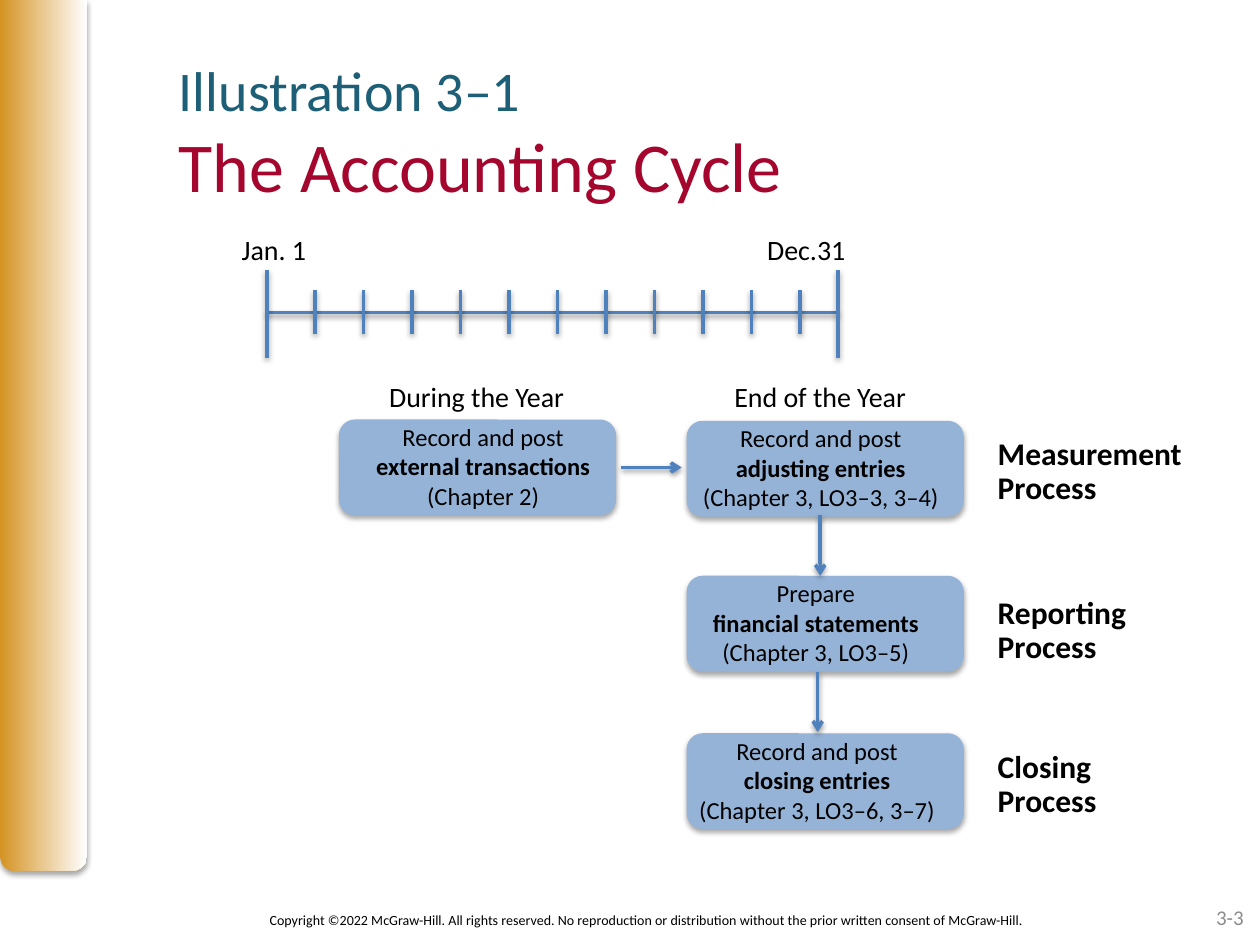
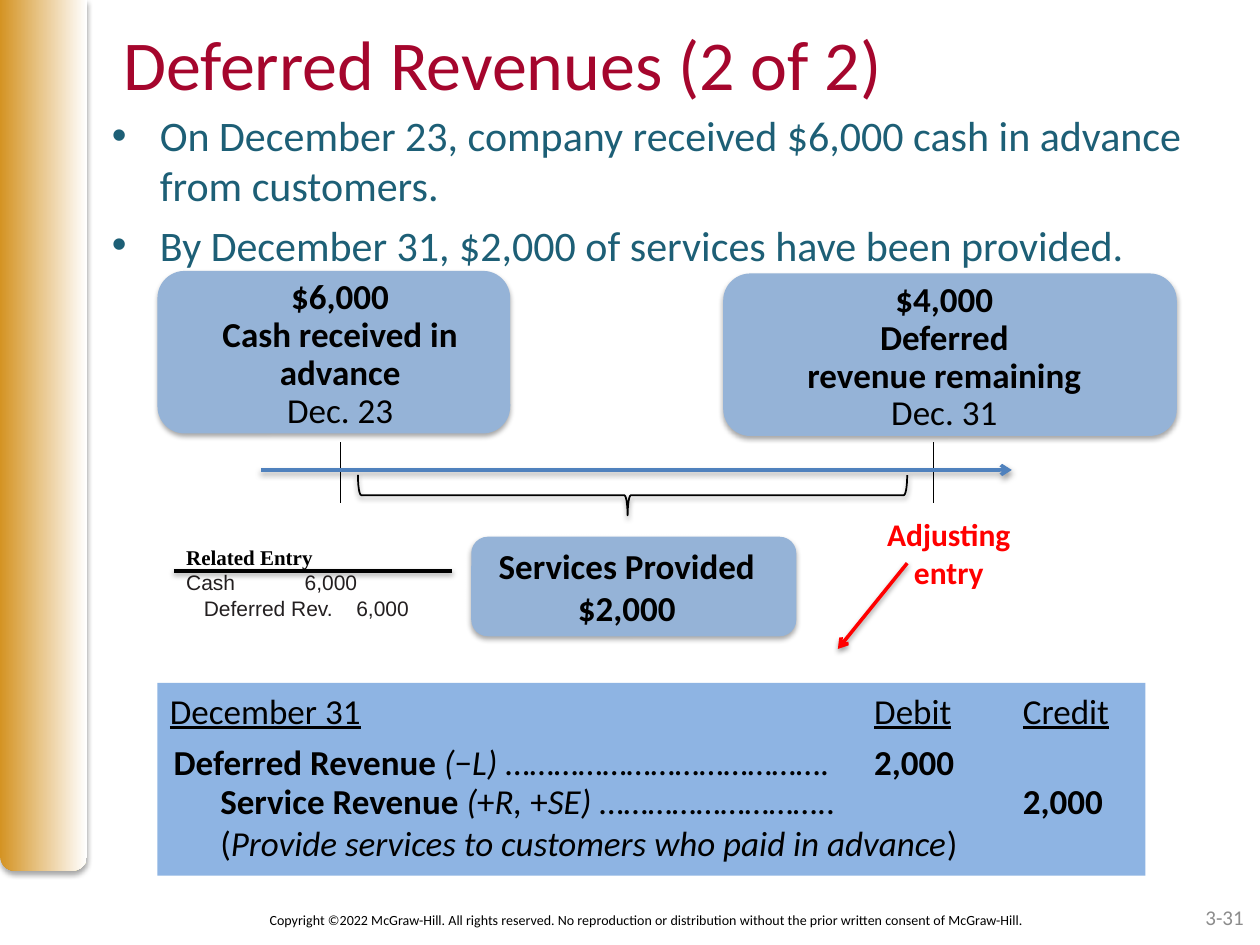
from lxml import etree
from pptx import Presentation
from pptx.dml.color import RGBColor
from pptx.enum.shapes import MSO_CONNECTOR, MSO_SHAPE
from pptx.enum.text import MSO_ANCHOR, MSO_AUTO_SIZE, PP_ALIGN
from pptx.oxml.ns import qn
from pptx.util import Inches, Pt

LEFT, CENTER, RIGHT = PP_ALIGN.LEFT, PP_ALIGN.CENTER, PP_ALIGN.RIGHT
TOP, MIDDLE = MSO_ANCHOR.TOP, MSO_ANCHOR.MIDDLE
NO_AUTOFIT = MSO_AUTO_SIZE.NONE
STRAIGHT = MSO_CONNECTOR.STRAIGHT
ROUNDED, RECTANGLE = MSO_SHAPE.ROUNDED_RECTANGLE, MSO_SHAPE.RECTANGLE
BAND_SHAPE, BRACE = MSO_SHAPE.ROUND_2_SAME_RECTANGLE, MSO_SHAPE.RIGHT_BRACE

BLACK = RGBColor(0x00, 0x00, 0x00)
WHITE = RGBColor(0xFF, 0xFF, 0xFF)
GOLD = RGBColor(0xD4, 0x93, 0x23)
TEAL = RGBColor(0x1D, 0x5F, 0x76)
CRIMSON = RGBColor(0xA5, 0x06, 0x2D)
RED = RGBColor(0xFF, 0x00, 0x00)
BLUE = RGBColor(0x4F, 0x81, 0xBD)
CARD_BLUE = RGBColor(0x95, 0xB3, 0xD7)
PANEL_BLUE = RGBColor(0x8E, 0xB4, 0xE3)
GRAY = RGBColor(0x8C, 0x8C, 0x8C)
INK = RGBColor(0x23, 0x1F, 0x20)

TITLE_ONLY = 5
INSET = 0.1
COPYRIGHT = ("Copyright ©2022 McGraw-Hill. All rights reserved. No reproduction or "
             "distribution without the prior written consent of McGraw-Hill.")


def child(parent, tag, **attributes):
    """Append a DrawingML element to its parent."""
    element = etree.SubElement(parent, qn(tag))
    for key, value in attributes.items():
        element.set(key, str(value))
    return element


def add_shadow(effects, opacity=35, distance=1.8):
    """Put a soft downward shadow in an effect list."""
    shadow = child(effects, "a:outerShdw", blurRad=Pt(3.1), dist=Pt(distance),
                   dir=5400000, rotWithShape=0)
    color = child(shadow, "a:srgbClr", val="000000")
    child(color, "a:alpha", val=opacity * 1000)


def write(frame, paragraphs, size=16, color=BLACK, font="Calibri", style="",
          align=LEFT, anchor=TOP, leading=None, before=0, bullet=None, tabs=()):
    """Fill a text frame; a paragraph is a string or a list of (text, style) runs."""
    frame.word_wrap = True
    frame.auto_size = NO_AUTOFIT
    frame.vertical_anchor = anchor
    for number, runs in enumerate(paragraphs):
        paragraph = frame.add_paragraph() if number else frame.paragraphs[0]
        paragraph.alignment = align
        if leading:
            paragraph.line_spacing = leading
        if number and before:
            paragraph.space_before = Pt(before)
        properties = paragraph._p.get_or_add_pPr()
        if bullet:
            properties.set("marL", str(Inches(0.38)))
            properties.set("indent", str(-Inches(0.38)))
            child(properties, "a:buFont", typeface="Arial")
            child(properties, "a:buChar", char=bullet)
        if tabs:
            stops = child(properties, "a:tabLst")
            for stop in tabs:
                child(stops, "a:tab", pos=Inches(stop), algn="l")
        for text, run_style in [(runs, style)] if isinstance(runs, str) else runs:
            run = paragraph.add_run()
            run.text = text
            run.font.name = font
            run.font.size = Pt(size)
            run.font.color.rgb = color
            run.font.bold = "b" in run_style
            run.font.italic = "i" in run_style
            run.font.underline = "u" in run_style


class Deck:
    """Holds the shared style and the slide being built."""

    def __init__(self):
        """Start an empty 10 by 7.5 inch presentation."""
        self.presentation = Presentation()
        self.presentation.slide_width = Inches(10)
        self.presentation.slide_height = Inches(7.5)
        self.slide = None

    def start(self, page):
        """Add a slide with its band, copyright line and page number."""
        layout = self.presentation.slide_layouts[TITLE_ONLY]
        self.slide = self.presentation.slides.add_slide(layout)
        band = self.shape(BAND_SHAPE, (0, 0, 0.69, 6.91))
        band._element.spPr.xfrm.set("flipV", "1")
        band.fill.gradient()
        band.fill.gradient_angle = 0
        for stop, color in zip(band.fill.gradient_stops, (GOLD, WHITE)):
            stop.color.rgb = color
        self.text((7.64, 7.08, 2.33, 0.4), [page], size=12, color=GRAY,
                  align=RIGHT, anchor=MIDDLE)
        self.text((1.56, 7.1, 7.15, 0.4), [COPYRIGHT], size=8,
                  align=CENTER, anchor=MIDDLE)

    def title(self, box, heading, kicker=None):
        """Place the title, with an optional smaller line above it."""
        title = self.slide.shapes.title
        title.left, title.top, title.width, title.height = map(Inches, box)
        write(title.text_frame, [kicker or heading], size=32 if kicker else 40,
              color=TEAL if kicker else CRIMSON)
        if kicker:
            paragraph = title.text_frame.paragraphs[0]
            paragraph.add_line_break()
            run = paragraph.add_run()
            run.text = heading
            run.font.name, run.font.size = "Calibri", Pt(40)
            run.font.color.rgb = CRIMSON

    def text(self, box, paragraphs, **style):
        """Add a text box."""
        label = self.slide.shapes.add_textbox(*map(Inches, box))
        write(label.text_frame, paragraphs, **style)

    def shape(self, kind, box, fill=None, shadow=True, **shadow_style):
        """Add a preset shape without an outline."""
        shape = self.slide.shapes.add_shape(kind, *map(Inches, box))
        shape.shadow.inherit = False
        if shadow:
            add_shadow(shape._element.spPr.find(qn("a:effectLst")), **shadow_style)
        shape.line.fill.background()
        if fill is None:
            shape.fill.background()
        else:
            shape.fill.solid()
            shape.fill.fore_color.rgb = fill
        return shape

    def card(self, box, label_box, paragraphs, **style):
        """Add a rounded card with a centred label."""
        self.shape(ROUNDED, box, CARD_BLUE)
        self.text(label_box, paragraphs, align=CENTER, **style)

    def line(self, start, end, color=BLUE, width=2, arrow=False, shadow=True):
        """Add a straight line or arrow."""
        line = self.slide.shapes.add_connector(STRAIGHT, *map(Inches, start + end))
        line.line.color.rgb = color
        line.line.width = Pt(width)
        if arrow:
            child(line.line._get_or_add_ln(), "a:tailEnd", type="arrow")
        effects = child(line._element.spPr, "a:effectLst")
        if shadow:
            add_shadow(effects, 38, 1.6)


def build_accounting_cycle(deck):
    """Build the timeline and the steps of the accounting cycle."""
    deck.start("3-3")
    deck.title((1.32, 0.39, 9, 1.1), "The Accounting Cycle", "Illustration 3–1")

    year_start, year_end, axis = 2.12, 6.65, 2.48
    deck.text((1.82, 1.8, 0.87, 0.37), ["Jan. 1"])
    deck.text((5.99, 1.8, 0.88, 0.37), ["Dec.31"])
    deck.line((year_start, axis), (year_end, axis))
    for boundary in (year_start, year_end):
        deck.line((boundary, 2.14), (boundary, 2.84))
    for month in range(11):
        x = 2.5 + 0.385 * month
        deck.line((x, 2.3), (x, 2.65))

    deck.text((2.99, 2.96, 2.01, 0.37), ["During the Year"])
    deck.text((5.73, 2.96, 1.97, 0.37), ["End of the Year"])

    steps = [
        (2.69, 3.33, 2.68, 2.31, "Record and post", "external transactions", "(Chapter 2)"),
        (5.45, 3.34, 5.38, 2.27, "Record and post", "adjusting entries",
         "(Chapter 3, LO3–3, 3–4)"),
        (5.45, 4.57, 5.43, 2.09, "Prepare", "financial statements", "(Chapter 3, LO3–5)"),
        (5.45, 5.82, 5.26, 2.45, "Record and post", "closing entries",
         "(Chapter 3, LO3–6, 3–7)"),
    ]
    for left, top, label_left, label_width, action, subject, chapter in steps:
        deck.card((left, top, 2.2, 0.76), (label_left, top - 0.03, label_width, 0.81),
                  [action, [(subject, "b")], chapter], size=14)

    for top, process in ((3.43, "Measurement"), (4.69, "Reporting"), (5.91, "Closing")):
        deck.text((7.82, top, 2.18, 0.65), [process, "Process"], size=18,
                  style="b", leading=0.9)

    for start, end in (((4.93, 3.71), (5.41, 3.71)),
                       ((6.51, 4.09), (6.51, 4.57)),
                       ((6.49, 5.33), (6.49, 5.81))):
        deck.line(start, end, arrow=True)


def build_deferred_revenues(deck):
    """Build the deferred revenue timeline and its journal entries."""
    deck.start("3-31")
    deck.title((0.88, 0.11, 7.77, 0.99), "Deferred Revenues (2 of 2)")
    deck.text((0.79, 0.82, 9.19, 1.32), [
        "On December 23, company received $6,000 cash in advance from customers.",
        "By December 31, $2,000 of services have been provided.",
    ], size=24, color=TEAL, bullet="•", before=5)

    deck.card((1.25, 2.15, 2.8, 1.29), (1.25, 2.17, 2.9, 1.31),
              ["$6,000", "Cash received in advance", [("Dec. 23", "")]],
              size=20, style="b", leading=0.9)
    deck.card((5.74, 2.17, 3.6, 1.29), (5.83, 2.19, 3.33, 1.31),
              ["$4,000", "Deferred", "revenue remaining", [("Dec. 31", "")]],
              size=20, style="b", leading=0.9)
    deck.card((3.74, 4.26, 2.58, 0.79), (3.78, 4.27, 2.39, 0.77),
              ["Services Provided", "$2,000"], size=20, style="b")

    for date in (2.7, 7.41):
        deck.line((date, 3.51), (date, 3.99), BLACK, 0.75, shadow=False)
    deck.line((2.07, 3.73), (8.03, 3.73), arrow=True)
    period = deck.shape(BRACE, (4.86, 1.75, 0.32, 4.36), opacity=38, distance=1.6)
    period.rotation = 90
    period.adjustments[0], period.adjustments[1] = 0.083, 0.509
    period.line.color.rgb = BLACK
    period.line.width = Pt(1)

    deck.text((6.79, 4.04, 1.48, 0.71), ["Adjusting entry"], size=18, color=RED,
              style="b", align=CENTER)
    deck.line((7.2, 4.47), (6.65, 5.15), RED, arrow=True)

    deck.text((1.38, 4.27, 2.2, 0.3), ["Related Entry"], size=12,
              font="Times New Roman", style="b")
    for top, entry, tabs in ((4.47, "Cash\t6,000", (0.94,)),
                             (4.68, "\tDeferred Rev.\t6,000", (0.14, 1.35))):
        deck.text((1.38, top, 2.2, 0.3), [entry], size=12, font="Arial",
                  color=INK, tabs=tabs)
    deck.line((1.38, 4.53), (3.59, 4.53), BLACK)

    deck.shape(RECTANGLE, (1.25, 5.42, 7.84, 1.53), PANEL_BLUE, shadow=False)
    debit, credit, right_edge = 6.94, 8.12, 9.09
    journal = [
        (1.25, 5.42, [[("December 31", "u"), ("\t", ""), ("Debit", "u"),
                       ("\t", ""), ("Credit", "u")]], (debit, credit)),
        (1.28, 5.83, [[("Deferred Revenue ", "b"), ("(", "i"), ("−", ""), ("L) ", "i"),
                       ("………………………………….\t", ""), ("2,000", "b")]], (debit,)),
        (1.65, 6.14, [[("Service Revenue ", "b"), ("(", "i"), ("+", ""), ("R, ", "i"),
                       ("+", ""), ("SE) ", "i"), ("………………………..\t", ""),
                       ("2,000", "b")],
                      [("(", ""), ("Provide services to customers who paid in advance", "i"),
                       (")", "")]], (credit,)),
    ]
    for left, top, lines, columns in journal:
        deck.text((left, top, right_edge - left, 0.1 + 0.34 * len(lines)), lines, size=20,
                  tabs=[column - left - INSET for column in columns])


def main():
    """Build both slides and save them."""
    deck = Deck()
    build_accounting_cycle(deck)
    build_deferred_revenues(deck)
    deck.presentation.save("out.pptx")


if __name__ == "__main__":
    main()
